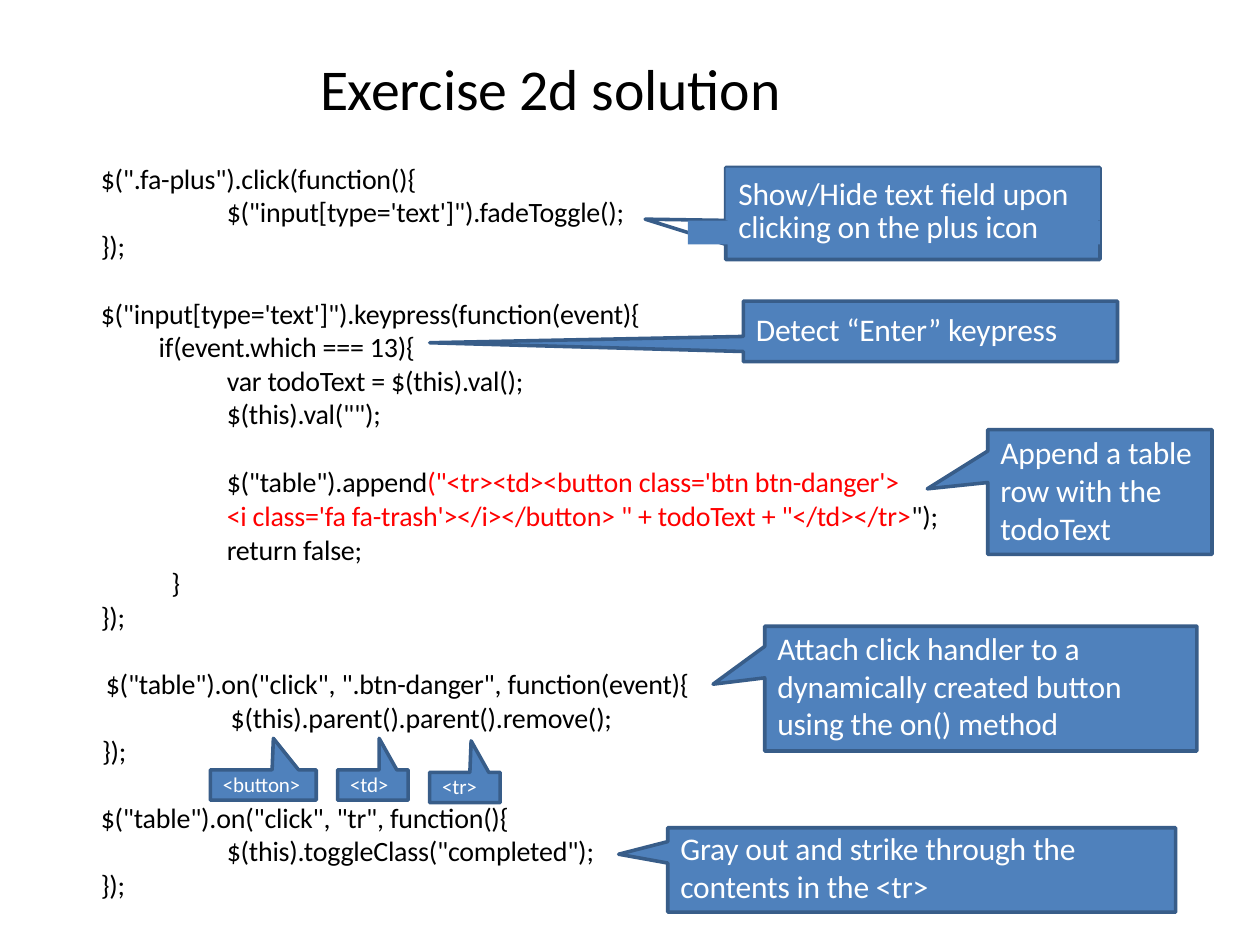
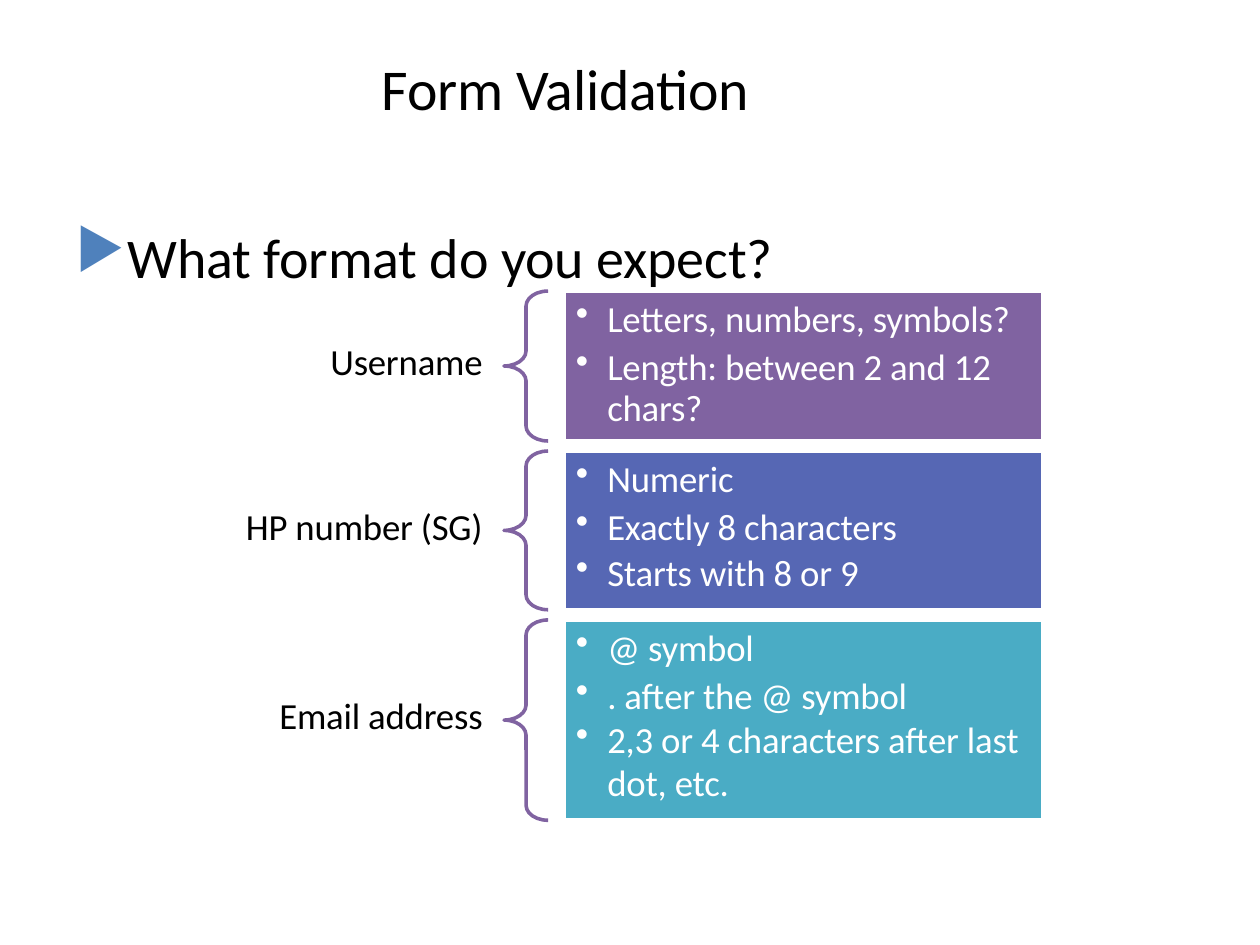
from dataclasses import dataclass
from typing import Any, Optional

import lxml.etree
import pptx
import pptx.dml.color
import pptx.enum.shapes
import pptx.enum.text
import pptx.oxml.ns
import pptx.util

PX = 9144
SHAPES = pptx.enum.shapes.MSO_SHAPE
ALIGN = pptx.enum.text.PP_ALIGN


@dataclass(frozen=True)
class Theme:
    font: str = "Calibri"
    black: str = "000000"
    white: str = "FFFFFF"
    red: str = "FF0000"
    blue: str = "4F81BC"
    navy: str = "385D89"
    purple: str = "8063A1"
    indigo: str = "5667B4"
    teal: str = "4AACC5"
    title_size: int = 33
    question_size: int = 32
    list_size: int = 21
    callout_size: int = 18
    code_size: int = 16
    tag_size: int = 12
    outline: float = 2.04
    tracking: int = -10


THEME = Theme()


@dataclass(frozen=True)
class Box:
    left: int
    top: int
    width: int
    height: int

    def emu(self) -> tuple[int, ...]:
        return tuple(value * PX for value in (self.left, self.top, self.width, self.height))


@dataclass(frozen=True)
class Run:
    text: str
    color: str


@dataclass(frozen=True)
class Line:
    runs: tuple[Run, ...]
    indent: int = 1
    hanging: int = 0
    before: float = 0
    spacing: Optional[float] = None
    bullet: Optional[str] = None
    bullet_color: str = THEME.white
    align: Any = ALIGN.LEFT


@dataclass(frozen=True)
class Callout:
    body: Box
    tip: tuple[int, int]
    base: tuple[int, int]
    text: str = ""
    label_drop: int = 0
    label_width: int = 0
    size: int = THEME.callout_size
    fill: Optional[str] = THEME.blue


@dataclass(frozen=True)
class Requirement:
    name: str
    height: int
    color: str
    rules: tuple[Line, ...]


def apply(target: Any, values: dict[str, Any]) -> None:
    for name, value in values.items():
        setattr(target, name, value)


def rgb(color: str) -> pptx.dml.color.RGBColor:
    return pptx.dml.color.RGBColor.from_string(color)


def plain(text: str, color: str = THEME.black, **options: Any) -> Line:
    return Line((Run(text, color),), **options)


def code(text: str, indent: int = 1, before: float = 0) -> Line:
    return plain(text, indent=indent, before=before)


def rule(text: str, before: float, spacing: Optional[float] = None) -> Line:
    return plain(text, THEME.white, indent=34, hanging=-25, before=before, spacing=spacing, bullet="•")


def add_bullet(properties: Any, line: Line) -> None:
    qualified = pptx.oxml.ns.qn
    color = lxml.etree.SubElement(properties, qualified("a:buClr"))
    lxml.etree.SubElement(color, qualified("a:srgbClr"), val=line.bullet_color)
    lxml.etree.SubElement(properties, qualified("a:buChar"), char=line.bullet)


def write(shape: Any, lines: tuple[Line, ...], size: float, inset: int = 1, anchor: str = "TOP") -> None:
    frame = shape.text_frame
    apply(frame, {
        "word_wrap": True,
        "margin_left": 0,
        "margin_right": 0,
        "margin_top": inset * PX,
        "margin_bottom": 0,
        "vertical_anchor": pptx.enum.text.MSO_ANCHOR[anchor],
    })
    for index, line in enumerate(lines):
        paragraph = frame.add_paragraph() if index else frame.paragraphs[0]
        apply(paragraph, {
            "alignment": line.align,
            "space_before": pptx.util.Pt(line.before),
            "line_spacing": pptx.util.Pt(line.spacing) if line.spacing else None,
        })
        properties = paragraph._p.get_or_add_pPr()
        properties.set("marL", str(line.indent * PX))
        properties.set("indent", str(line.hanging * PX))
        if line.bullet:
            add_bullet(properties, line)
        for part in line.runs:
            run = paragraph.add_run()
            run.text = part.text
            apply(run.font, {"name": THEME.font, "size": pptx.util.Pt(size)})
            run.font.color.rgb = rgb(part.color)
            run._r.get_or_add_rPr().set("spc", str(THEME.tracking))


def add_text(slide: Any, box: Box, lines: tuple[Line, ...], size: float, anchor: str = "TOP") -> None:
    write(slide.shapes.add_textbox(*box.emu()), lines, size, anchor=anchor)


def add_title(slide: Any, text: str, left: int, width: int) -> None:
    add_text(slide, Box(left, 31, width, 76), (plain(text, before=1),), THEME.title_size, "MIDDLE")


def paint(shape: Any, fill: Optional[str], line: Optional[str]) -> None:
    shape.shadow.inherit = False
    if fill:
        shape.fill.solid()
        shape.fill.fore_color.rgb = rgb(fill)
    else:
        shape.fill.background()
    if line:
        shape.line.color.rgb = rgb(line)
        shape.line.width = pptx.util.Pt(THEME.outline)
    else:
        shape.line.fill.background()


def add_preset(slide: Any, preset: Any, box: Box, fill: Optional[str], line: Optional[str]) -> Any:
    shape = slide.shapes.add_shape(preset, *box.emu())
    paint(shape, fill, line)
    return shape


def add_callout(slide: Any, callout: Callout) -> None:
    body = callout.body
    left, top = body.left, body.top
    right, bottom = left + body.width, top + body.height
    start, end = callout.base
    if callout.tip[0] < left:
        pointer = [(left, end), callout.tip, (left, start), (left, top)]
    else:
        pointer = [(left, top), (start, top), callout.tip, (end, top)]
    builder = slide.shapes.build_freeform(right, top, scale=PX)
    builder.add_line_segments([(right, bottom), (left, bottom), *pointer], close=True)
    paint(builder.convert_to_shape(), callout.fill, THEME.navy)
    if callout.text:
        label = Box(left + 9, top + callout.label_drop, callout.label_width, body.height - callout.label_drop)
        add_text(slide, label, (plain(callout.text, THEME.white, before=1),), callout.size)


def add_tag(slide: Any, text: str, body: Box, tip_x: int, base: tuple[int, int]) -> None:
    add_callout(slide, Callout(body, (tip_x, body.top - 25), base, text, 0, body.width - 9, THEME.tag_size))


CODE_BLOCKS = (
    (Box(79, 127, 440, 83), (
        code('$(".fa-plus").click(function(){', before=0.9),
        code("$(\"input[type='text']\").fadeToggle();", 101),
        code("});"),
    )),
    (Box(79, 234, 450, 109), (
        code("$(\"input[type='text']\").keypress(function(event){", before=0.9),
        code("if(event.which === 13){", 47),
        code("var todoText = $(this).val();", 101),
        code('$(this).val("");', 101),
    )),
    (Box(79, 368, 700, 136), (
        Line((
            Run('$("table").append', THEME.black),
            Run("(\"<tr><td><button class='btn btn-danger'>", THEME.red),
        ), indent=101, before=0.9),
        Line((
            Run("<i class='fa fa-trash'></i></button> \" + todoText + \"</td></tr>", THEME.red),
            Run('");', THEME.black),
        ), indent=101),
        code("return false;", 101),
        code("}", 57),
        code("});"),
    )),
    (Box(79, 528, 490, 83), (
        code('$("table").on("click", ".btn-danger", function(event){', 5, 0.9),
        code("$(this).parent().parent().remove();", 104),
        code("});", 2),
    )),
    (Box(79, 634, 420, 83), (
        code('$("table").on("click", "tr", function(){', before=0.9),
        code('$(this).toggleClass("completed");', 101),
        code("});"),
    )),
)

CALLOUTS = (
    Callout(Box(590, 239, 297, 48), (341, 272), (267, 279), "Detect “Enter” keypress", 6, 260),
    Callout(Box(784, 341, 178, 99), (736, 388), (358, 383), "Append a table row with the todoText", 2, 158),
    Callout(Box(607, 497, 343, 99), (566, 543), (513, 538),
            "Attach click handler to a dynamically created button using the on() method", 1, 284),
    Callout(Box(530, 657, 403, 67), (491, 678), (668, 685),
            "Gray out and strike through the contents in the <tr>", 0, 330),
)

REQUIREMENTS = (
    Requirement("Username", 119, THEME.purple, (
        rule("Letters, numbers, symbols?", 2.8),
        rule("Length: between 2 and 12 chars?", 4.4, 23),
    )),
    Requirement("HP number (SG)", 126, THEME.indigo, (
        rule("Numeric", 2.8),
        rule("Exactly 8 characters", 1.8),
        rule("Starts with 8 or 9", 1.6),
    )),
    Requirement("Email address", 159, THEME.teal, (
        rule("@ symbol", 2.8),
        rule(". after the @ symbol", 1.8),
        rule("2,3 or 4 characters after last dot, etc.", 1.6, 24.1),
    )),
)


def build_solution(slide: Any) -> None:
    add_title(slide, "Exercise 2d solution", 253, 495)
    for box, lines in CODE_BLOCKS:
        add_text(slide, box, lines, THEME.code_size)

    toggle = Box(576, 133, 297, 73)
    add_preset(slide, SHAPES.RECTANGLE, toggle, THEME.blue, None)
    add_callout(slide, Callout(toggle, (512, 174), (175, 194), fill=None))
    first = add_preset(slide, SHAPES.RECTANGLE, Box(576, 133, 297, 42), THEME.blue, None)
    write(first, (plain("Show/Hide text field upon", THEME.white, indent=10, before=3.5),), THEME.callout_size, 5)
    second = add_preset(slide, SHAPES.RECTANGLE, Box(546, 175, 327, 19), THEME.blue, None)
    write(second, (plain("clicking on the plus icon", THEME.white, indent=40, spacing=13.6),), THEME.callout_size, 0)

    for callout in CALLOUTS:
        add_callout(slide, callout)
    add_tag(slide, "<button>", Box(167, 611, 84, 24), 217, (216, 237))
    add_tag(slide, "<td>", Box(268, 611, 56, 24), 301, (301, 315))
    add_tag(slide, "<tr>", Box(341, 613, 56, 24), 374, (373, 388))


def build_validation(slide: Any) -> None:
    add_title(slide, "Form Validation", 302, 395)
    question = plain("What format do you expect?", indent=39, hanging=-38, before=1.1,
                     bullet="▶", bullet_color=THEME.blue)
    add_text(slide, Box(59, 176, 557, 56), (question,), THEME.question_size)
    top, gap = 231, 8
    for requirement in REQUIREMENTS:
        height = requirement.height
        label = Box(160, top + height // 2 - 22, 223, 38)
        add_text(slide, label, (plain(requirement.name, before=1, align=ALIGN.RIGHT),), THEME.list_size)
        brace = add_preset(slide, SHAPES.LEFT_BRACE, Box(400, top, 35, height), None, THEME.purple)
        brace.adjustments[0] = 0.34
        panel = add_preset(slide, SHAPES.RECTANGLE, Box(448, top, 380, height), requirement.color, THEME.white)
        write(panel, requirement.rules, THEME.list_size, 4)
        top += height + gap


def main() -> None:
    presentation = pptx.Presentation()
    apply(presentation, {"slide_width": 1000 * PX, "slide_height": 750 * PX})
    for build in (build_solution, build_validation):
        build(presentation.slides.add_slide(presentation.slide_layouts[6]))
    presentation.save("out.pptx")


if __name__ == "__main__":
    main()
